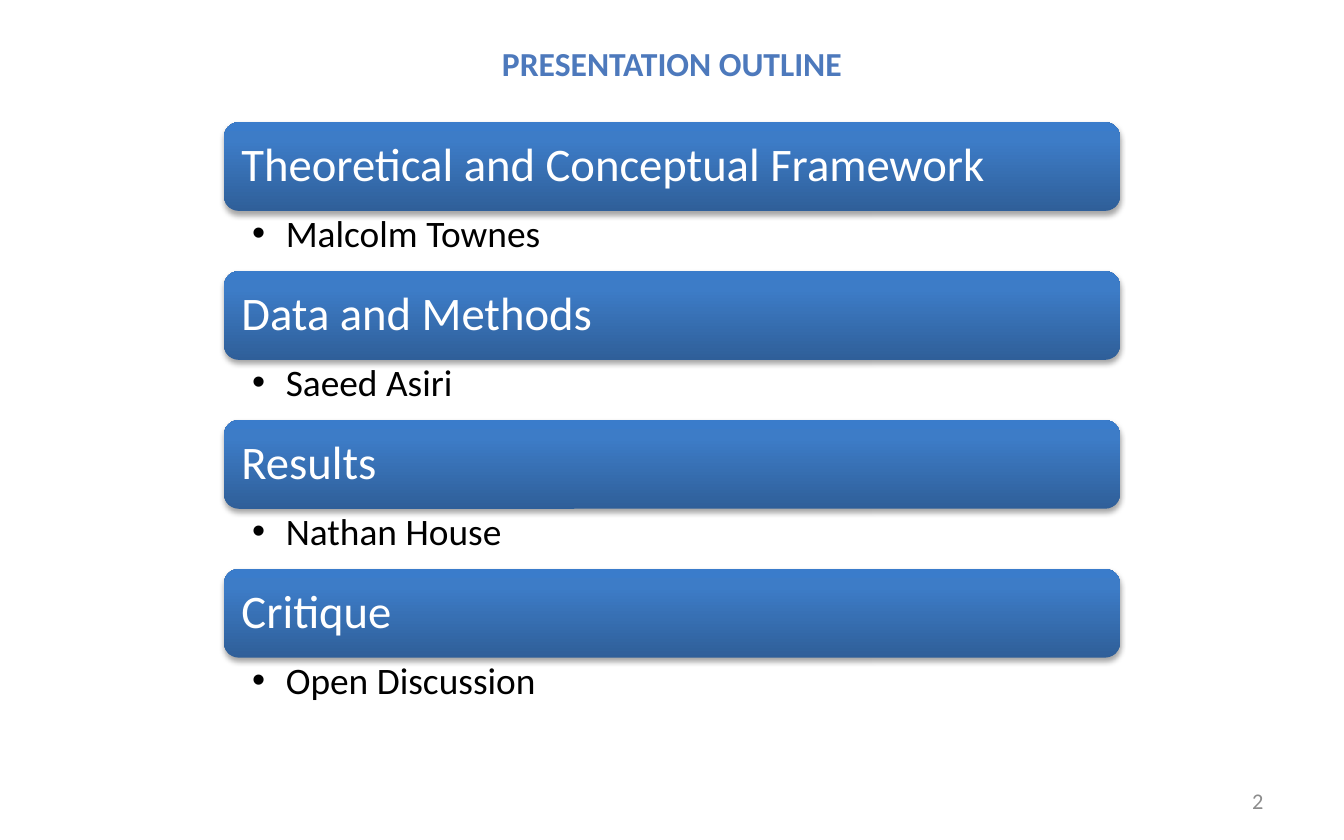
import pptx
import pptx.dml.color
import pptx.enum.shapes
import pptx.enum.text
import pptx.oxml
import pptx.oxml.ns
import pptx.util
from lxml import etree

Inches = pptx.util.Inches
Pt = pptx.util.Pt
RGBColor = pptx.dml.color.RGBColor
ALIGN = pptx.enum.text.PP_ALIGN
ANCHOR = pptx.enum.text.MSO_ANCHOR
qn = pptx.oxml.ns.qn

FONT = "Calibri"
WHITE = RGBColor(0xFF, 0xFF, 0xFF)
BLACK = RGBColor(0x00, 0x00, 0x00)
GRAY = RGBColor(0x8C, 0x8C, 0x8C)
TITLE_BLUE = RGBColor(0x4D, 0x79, 0xBC)
BAR_STOPS = [
    (0, RGBColor(0x2F, 0x5F, 0x99)),
    (80, RGBColor(0x3D, 0x7C, 0xC7)),
    (100, RGBColor(0x3A, 0x7C, 0xCB)),
]

SECTIONS = [
    ("Theoretical and Conceptual Framework", "Malcolm Townes"),
    ("Data and Methods", "Saeed Asiri"),
    ("Results", "Nathan House"),
    ("Critique", "Open Discussion"),
]

prs = pptx.Presentation()
prs.slide_width = Inches(10)
prs.slide_height = Inches(6.25)
s = prs.slides.add_slide(prs.slide_layouts[6])

# The list takes the middle two thirds of the width
LEFT = prs.slide_width // 6
WIDTH = prs.slide_width * 2 // 3
TOP = Inches(0.91)
BAR_H = Inches(0.66)
NAME_H = Inches(0.45)
PITCH = Inches(1.108)


def write(sp, text, size, color, align, anchor, insets):
    """Fill a shape with one run; insets are left, top, right, bottom in inches."""
    tf = sp.text_frame
    tf.word_wrap = True
    tf.vertical_anchor = anchor
    tf.margin_left, tf.margin_top, tf.margin_right, tf.margin_bottom = map(Inches, insets)
    p = tf.paragraphs[0]
    p.alignment = align
    r = p.add_run()
    r.text = text
    r.font.name = FONT
    r.font.size = Pt(size)
    r.font.color.rgb = color
    return p


def style_bar(sp):
    """Give a bar its three-stop gradient and a soft shadow below."""
    sp.line.fill.background()
    sp.fill.gradient()
    sp.fill.gradient_angle = 90
    stops = sp._element.spPr.find(qn("a:gradFill")).find(qn("a:gsLst"))
    for old in list(stops):
        stops.remove(old)
    for percent, color in BAR_STOPS:
        gs = etree.SubElement(stops, qn("a:gs"), pos=str(percent * 1000))
        etree.SubElement(gs, qn("a:srgbClr"), val=str(color))
    sp.shadow.inherit = False
    effects = sp._element.spPr.find(qn("a:effectLst"))
    shadow = etree.SubElement(
        effects, qn("a:outerShdw"), blurRad=str(Pt(3.1)), dist=str(Pt(1.8)),
        dir="5400000", rotWithShape="0")
    black = etree.SubElement(shadow, qn("a:srgbClr"), val=str(BLACK))
    etree.SubElement(black, qn("a:alpha"), val="35000")


for row, (section, name) in enumerate(SECTIONS):
    top = TOP + row * PITCH
    bar = s.shapes.add_shape(
        pptx.enum.shapes.MSO_SHAPE.ROUNDED_RECTANGLE, LEFT, top, WIDTH, BAR_H)
    style_bar(bar)
    p = write(bar, section, 25, WHITE, ALIGN.LEFT, ANCHOR.MIDDLE, (0.1, 0.1, 0.1, 0.1))
    p.line_spacing = 0.9

    box = s.shapes.add_textbox(LEFT, top + BAR_H, WIDTH, NAME_H)
    p = write(box, name, 20, BLACK, ALIGN.LEFT, ANCHOR.TOP, (0.21, 0.03, 0.19, 0.03))
    p.line_spacing = 0.9
    pPr = p._p.get_or_add_pPr()
    pPr.set("marL", str(Inches(0.25)))
    pPr.set("indent", str(-Inches(0.25)))
    etree.SubElement(pPr, qn("a:buFont"), typeface="Arial")
    etree.SubElement(pPr, qn("a:buChar"), char="•")

title = s.shapes.add_textbox(Inches(3.07), Inches(0.27), Inches(3.86), Inches(0.4))
p = write(title, "PRESENTATION OUTLINE", 18, TITLE_BLUE, ALIGN.CENTER, ANCHOR.TOP,
          (0.1, 0.05, 0.1, 0.05))
p.runs[0].font.bold = True

number = s.shapes.add_textbox(Inches(7.17), Inches(5.79), Inches(2.33), Inches(0.33))
write(number, "2", 12, GRAY, ALIGN.RIGHT, ANCHOR.MIDDLE, (0.1, 0.05, 0.1, 0.05))

prs.save("out.pptx")
